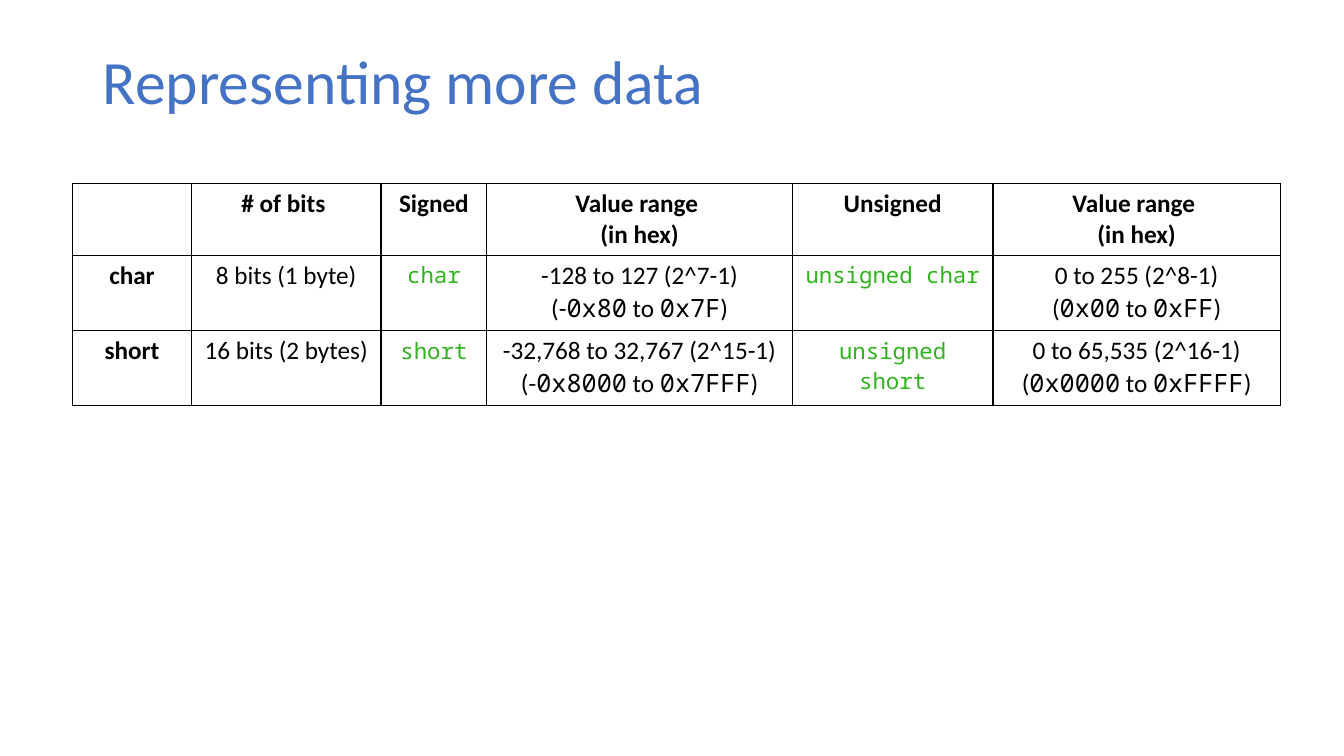
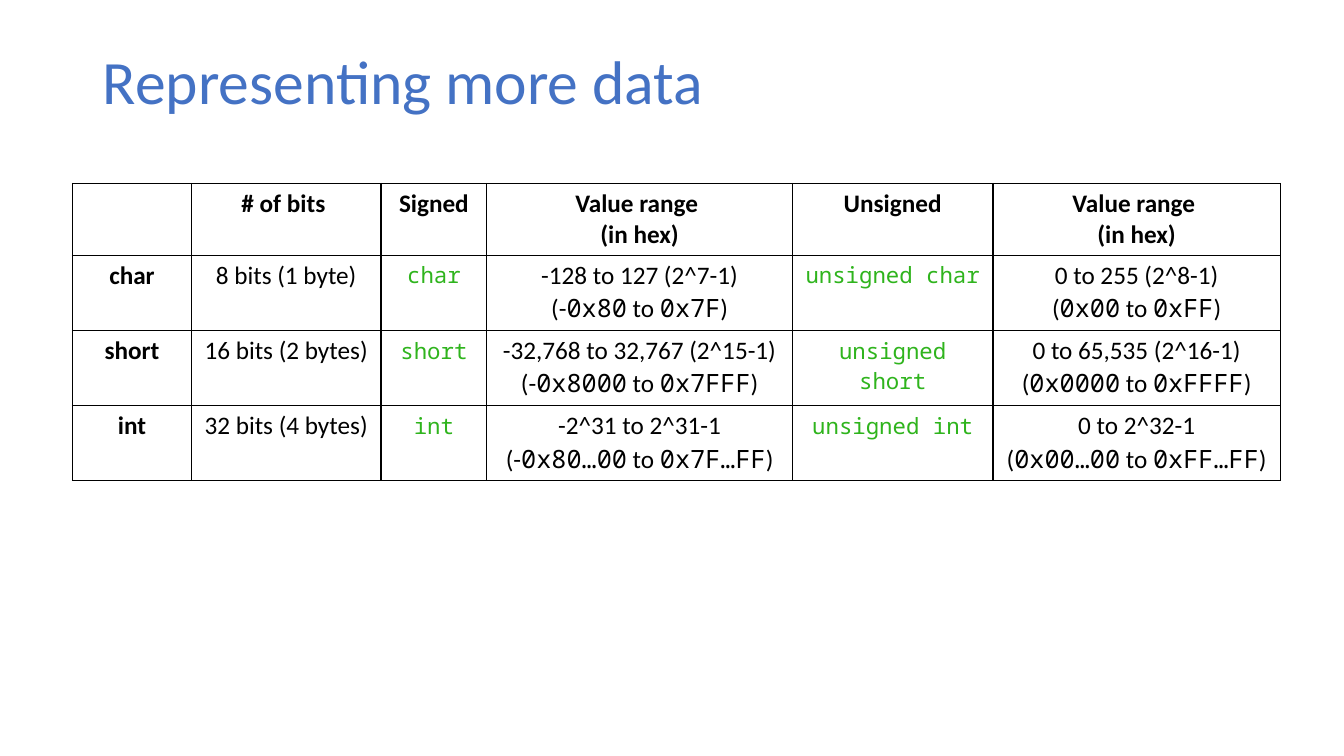
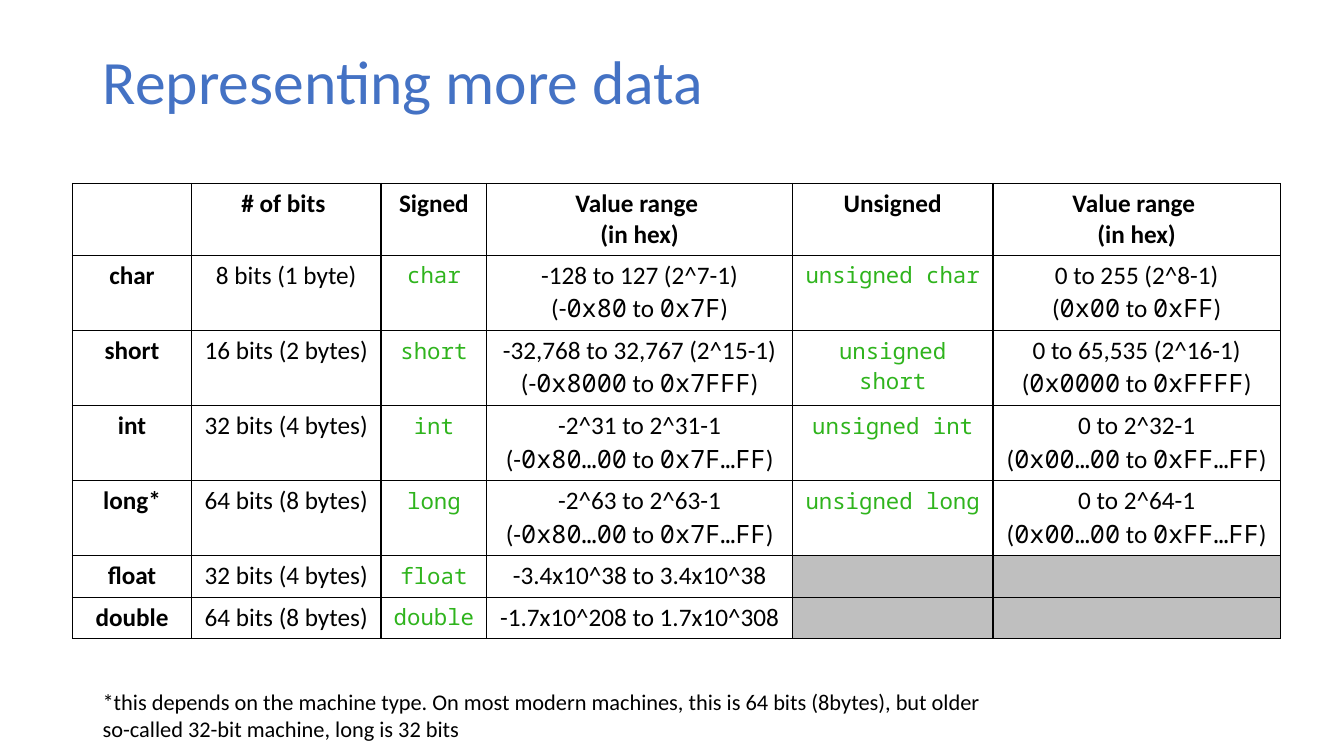
from lxml import etree
from pptx import Presentation
from pptx.dml.color import RGBColor
from pptx.enum.text import MSO_ANCHOR, MSO_AUTO_SIZE, PP_ALIGN
from pptx.oxml.ns import qn
from pptx.util import Inches, Pt

LEFT, CENTER = PP_ALIGN.LEFT, PP_ALIGN.CENTER
MIDDLE = MSO_ANCHOR.MIDDLE
NO_FIT, GROW = MSO_AUTO_SIZE.NONE, MSO_AUTO_SIZE.SHAPE_TO_FIT_TEXT
TITLE_ONLY = 5

COLORS = {"title": "4472C4", "text": "000000", "code": "2FB41D",
          "border": "000000", "unused": "BFBFBF"}
SANS, MONO = "Calibri", "Noto Sans Mono"
STYLES = {
    "title": (SANS, 44, "title", False),
    "head": (SANS, 18, "text", True),
    "plain": (SANS, 18, "text", False),
    "hex": (MONO, 18, "text", False),
    "code": (MONO, 16, "code", False),
    "note": (SANS, 16, "text", False),
}

MARGIN = 6.9
TITLE_BOX = (MARGIN, 5.33, 86.25, 11.6)
NOTE_BOX = (MARGIN, 90.4, 68.93, 8.53)
TABLE_LEFT, TABLE_TOP = 5.4, 24.27
COL_WIDTHS = (8.85, 14.1, 7.88, 22.73, 14.93, 21.38)
ROW_HEIGHT = 5.47

HEADINGS = (None, ["# of bits "], ["Signed"], ["Value range ", "(in hex)"],
            ["Unsigned"], ["Value range ", "(in hex)"])
TYPES = (
    ("char", 1, "-128 to 127 (2^7-1)", ("0x80", "0x7F"),
     "0 to 255 (2^8-1)", ("0x00", "0xFF")),
    ("short", 2, "-32,768 to 32,767 (2^15-1)", ("0x8000", "0x7FFF"),
     "0 to 65,535 (2^16-1)", ("0x0000", "0xFFFF")),
    ("int", 4, "-2^31 to 2^31-1", ("0x80…00", "0x7F…FF"),
     "0 to 2^32-1", ("0x00…00", "0xFF…FF")),
    ("long*", 8, "-2^63 to 2^63-1", ("0x80…00", "0x7F…FF"),
     "0 to 2^64-1", ("0x00…00", "0xFF…FF")),
    ("float", 4, "-3.4x10^38 to 3.4x10^38", None, None, None),
    ("double", 8, "-1.7x10^208 to 1.7x10^308", None, None, None),
)
NOTE = ("*this depends on the machine type. On most modern machines, this is "
        "64 bits (8bytes), but older so-called 32-bit machine, long is 32 bits")


def value_range(span, bounds, opening):
    lines = [[(span, "plain")]]
    if bounds:
        low, high = bounds
        lines.append([(opening, "plain"), (low, "hex"), (" to ", "plain"),
                      (high, "hex"), (")", "plain")])
    return lines


def type_row(name, size, signed, signed_hex, unsigned, unsigned_hex):
    keyword = name.rstrip("*")
    unit = "byte" if size == 1 else "bytes"
    row = [[[(name, "head")]],
           [[(f"{8 * size} bits ({size} {unit})", "plain")]],
           [[(keyword, "code")]],
           value_range(signed, signed_hex, "(-")]
    if unsigned is None:
        return row + [None, None]
    return row + [[[(f"unsigned {keyword}", "code")]],
                  value_range(unsigned, unsigned_hex, "(")]


def heading_row():
    return [lines and [[(line, "head")] for line in lines] for lines in HEADINGS]


class Deck:
    def __init__(self):
        self.prs = Presentation()
        self.prs.slide_width = Inches(13.33)
        self.prs.slide_height = Inches(7.5)
        self.s = None

    def x(self, share):
        return round(self.prs.slide_width * share / 100)

    def y(self, share):
        return round(self.prs.slide_height * share / 100)

    def box(self, left, top, width, height):
        return self.x(left), self.y(top), self.x(width), self.y(height)

    def add_text(self, tf, lines, align):
        for i, line in enumerate(lines):
            p = tf.add_paragraph() if i else tf.paragraphs[0]
            p.alignment = align
            for text, style in line:
                r = p.add_run()
                r.text = text
                font, size, color, bold = STYLES[style]
                r.font.name, r.font.size, r.font.bold = font, Pt(size), bold
                r.font.color.rgb = RGBColor.from_string(COLORS[color])

    def slide(self, title):
        self.s = self.prs.slides.add_slide(self.prs.slide_layouts[TITLE_ONLY])
        sp = self.s.shapes.title
        sp.left, sp.top, sp.width, sp.height = self.box(*TITLE_BOX)
        tf = sp.text_frame
        tf.auto_size, tf.vertical_anchor = NO_FIT, MIDDLE
        self.add_text(tf, [[(title, "title")]], LEFT)
        tf.paragraphs[0].line_spacing = 0.9

    def borders(self, cell):
        tc_pr = cell._tc.get_or_add_tcPr()
        for i, side in enumerate(("lnL", "lnR", "lnT", "lnB")):
            ln = etree.Element(qn(f"a:{side}"), w=str(Pt(1)))
            fill = etree.SubElement(ln, qn("a:solidFill"))
            etree.SubElement(fill, qn("a:srgbClr"), val=COLORS["border"])
            tc_pr.insert(i, ln)

    def table(self, rows):
        frame = self.s.shapes.add_table(
            len(rows), len(COL_WIDTHS),
            *self.box(TABLE_LEFT, TABLE_TOP, sum(COL_WIDTHS), ROW_HEIGHT * len(rows)))
        table = frame.table
        table.first_row = table.horz_banding = False
        for column, width in zip(table.columns, COL_WIDTHS):
            column.width = self.x(width)
        for i, row in enumerate(rows):
            table.rows[i].height = self.y(ROW_HEIGHT)
            for j, lines in enumerate(row):
                cell = table.cell(i, j)
                if lines or i == 0:
                    cell.fill.background()
                else:
                    cell.fill.solid()
                    cell.fill.fore_color.rgb = RGBColor.from_string(COLORS["unused"])
                self.borders(cell)
                self.add_text(cell.text_frame, lines or [], CENTER)

    def note(self, text):
        tf = self.s.shapes.add_textbox(*self.box(*NOTE_BOX)).text_frame
        tf.word_wrap, tf.auto_size = True, GROW
        self.add_text(tf, [[(text, "note")]], LEFT)


def main():
    deck = Deck()
    for count in (2, 3, len(TYPES)):
        deck.slide("Representing more data")
        deck.table([heading_row()] + [type_row(*t) for t in TYPES[:count]])
    deck.note(NOTE)
    deck.prs.save("out.pptx")


if __name__ == "__main__":
    main()
